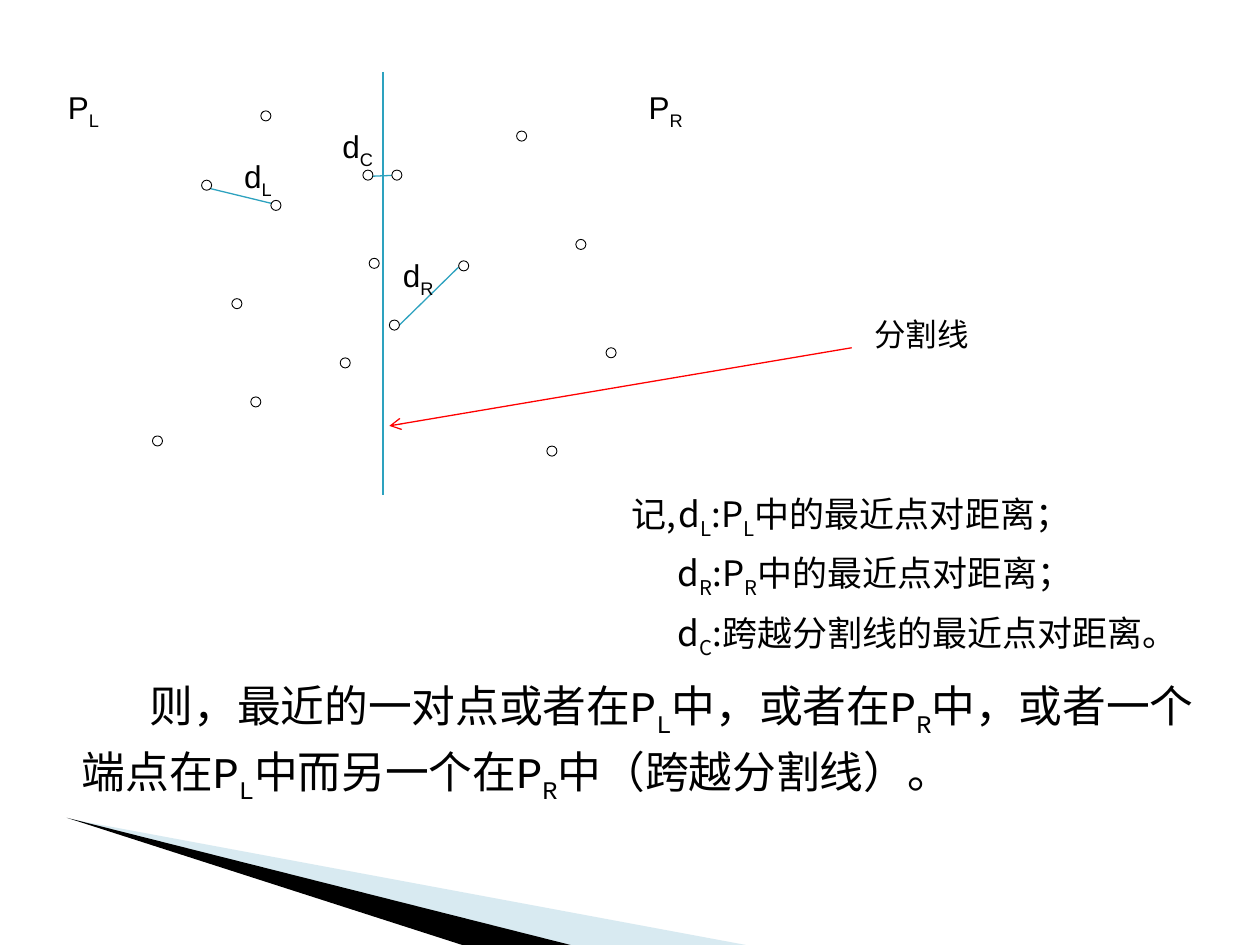
from lxml import etree
from pptx import Presentation
from pptx.dml.color import RGBColor
from pptx.enum import shapes, text
from pptx.oxml.ns import qn
from pptx.util import Inches, Pt

BLACK = RGBColor(0x00, 0x00, 0x00)
WHITE = RGBColor(0xFF, 0xFF, 0xFF)
TEAL = RGBColor(0x2D, 0xA2, 0xBF)
RED = RGBColor(0xFF, 0x00, 0x00)
PALE_BLUE = RGBColor(0x9F, 0xCB, 0xDC)
CJK_FONT = "Noto Sans CJK SC"
DOT = 0.08

# Content: "_" puts the next letter in subscript
CONCLUSION = ("则，最近的一对点或者在P_L中，或者在P_R中，或者一个端点在P_L中"
              "而另一个在P_R中（跨越分割线）。")
DEFINITIONS = [  # text, first-line indent
    ("记,\td_L:P_L中的最近点对距离；", 0.12),
    ("d_R:P_R中的最近点对距离；", 0.49),
    ("d_C:跨越分割线的最近点对距离。", 0.49),
]
DEFINITION_TAB = 0.73
LABELS = [  # text, left, top, width, height, wrap
    ("d_L", 1.84, 1.2, 0.7, 0.44, True),
    ("d_C", 2.62, 0.96, 0.7, 0.44, True),
    ("d_R", 3.1, 1.98, 0.7, 0.44, True),
    ("分割线", 6.84, 2.45, 0.95, 0.4, False),
    ("P_L", 0.44, 0.65, 0.45, 0.44, False),
    ("P_R", 5.05, 0.65, 0.47, 0.44, False),
]
SINGLE_POINTS = [(2.07, 0.88), (1.84, 2.37), (1.99, 3.15), (2.7, 2.84), (2.93, 2.05),
                 (4.1, 1.04), (4.57, 1.9), (4.81, 2.76), (4.34, 3.54), (1.21, 3.46)]
PAIR_POINTS = [(1.6, 1.43), (2.15, 1.59), (2.88, 1.35), (3.11, 1.35),
               (3.64, 2.07), (3.09, 2.54)]
PAIR_LINES = [((3.17, 2.58), (3.64, 2.12)), ((2.92, 1.4), (3.17, 1.39)),
              ((1.6, 1.48), (2.22, 1.63))]
DIVIDER = ((3.04, 0.57), (3.04, 3.93))
POINTER = ((6.76, 2.76), (3.09, 3.38))
WEDGES = [  # corners, colour, opacity in percent
    ([(0.55, 6.5), (5.92, 7.5), (4.52, 7.5)], PALE_BLUE, 40),
    ([(0.53, 6.49), (4.53, 7.5), (3.67, 7.5)], BLACK, 100),
]

prs = Presentation()
prs.slide_width, prs.slide_height = Inches(10), Inches(7.5)
slide = prs.slides.add_slide(prs.slide_layouts[6])


def add_wedge(corners, colour, opacity):
    builder = slide.shapes.build_freeform(*map(Inches, corners[0]), scale=1.0)
    builder.add_line_segments([tuple(map(Inches, c)) for c in corners[1:]])
    wedge = builder.convert_to_shape()
    wedge.shadow.inherit = False
    wedge.fill.solid()
    wedge.fill.fore_color.rgb = colour
    wedge.line.fill.background()
    if opacity < 100:
        tint = wedge.fill._xPr.find(".//" + qn("a:srgbClr"))
        etree.SubElement(tint, qn("a:alpha"), val=str(opacity * 1000))


def add_line(ends, colour, arrow=False):
    start, end = ends
    line = slide.shapes.add_connector(shapes.MSO_CONNECTOR.STRAIGHT,
                                      *map(Inches, start + end))
    line.line.color.rgb = colour
    line.line.width = Pt(0.75)
    properties = line._element.spPr
    if arrow:
        etree.SubElement(properties.find(qn("a:ln")), qn("a:tailEnd"), type="arrow")
    etree.SubElement(properties, qn("a:effectLst"))


def add_point(left, top, filled):
    point = slide.shapes.add_shape(shapes.MSO_SHAPE.OVAL,
                                   *map(Inches, (left, top, DOT, DOT)))
    point.shadow.inherit = False
    point.line.color.rgb = BLACK
    point.line.width = Pt(0.5)
    if filled:
        point.fill.solid()
        point.fill.fore_color.rgb = WHITE
    else:
        point.fill.background()


def add_frame(left, top, width, height, wrap=True):
    frame = slide.shapes.add_textbox(*map(Inches, (left, top, width, height))).text_frame
    frame.word_wrap = wrap
    frame.vertical_anchor = text.MSO_ANCHOR.TOP
    return frame


def add_run(paragraph, words, size, font, subscript=False):
    run = paragraph.add_run()
    run.text = words
    run.font.size = Pt(size)
    run.font.name = font
    run.font.color.rgb = BLACK
    properties = run._r.get_or_add_rPr()
    etree.SubElement(properties, qn("a:ea"), typeface=CJK_FONT)
    if subscript:
        properties.set("baseline", "-25000")


def write(paragraph, marked, size, font):
    first, *rest = marked.split("_")
    add_run(paragraph, first, size, font)
    for part in rest:
        add_run(paragraph, part[0], size, font, subscript=True)
        if part[1:]:
            add_run(paragraph, part[1:], size, font)


def set_spacing(paragraph, indent):
    paragraph.line_spacing = 1.1
    paragraph.space_before = Pt(4)
    properties = paragraph._p.get_or_add_pPr()
    properties.set("marL", "0")
    properties.set("indent", str(Inches(indent)))
    return properties


# Corner decoration
for wedge_spec in WEDGES:
    add_wedge(*wedge_spec)

# Conclusion
conclusion = add_frame(0.55, 5.29, 9.19, 1.27).paragraphs[0]
set_spacing(conclusion, 0.54)
write(conclusion, CONCLUSION, 25, "Courier New")

# Definitions of the three distances
definitions = add_frame(4.79, 3.82, 5.23, 1.48)
for i, (words, indent) in enumerate(DEFINITIONS):
    definition = definitions.add_paragraph() if i else definitions.paragraphs[0]
    properties = set_spacing(definition, indent)
    if "\t" in words:
        tabs = etree.SubElement(properties, qn("a:tabLst"))
        etree.SubElement(tabs, qn("a:tab"), pos=str(Inches(DEFINITION_TAB)), algn="l")
    write(definition, words, 20, CJK_FONT)

# Point diagram
for pair_line in PAIR_LINES:
    add_line(pair_line, TEAL)
add_line(DIVIDER, TEAL)
for points, filled in ((SINGLE_POINTS, False), (PAIR_POINTS, True)):
    for left, top in points:
        add_point(left, top, filled)
add_line(POINTER, RED, arrow=True)

# Diagram labels
for words, *place in LABELS:
    write(add_frame(*place).paragraphs[0], words, 18, "Arial")

prs.save("out.pptx")
